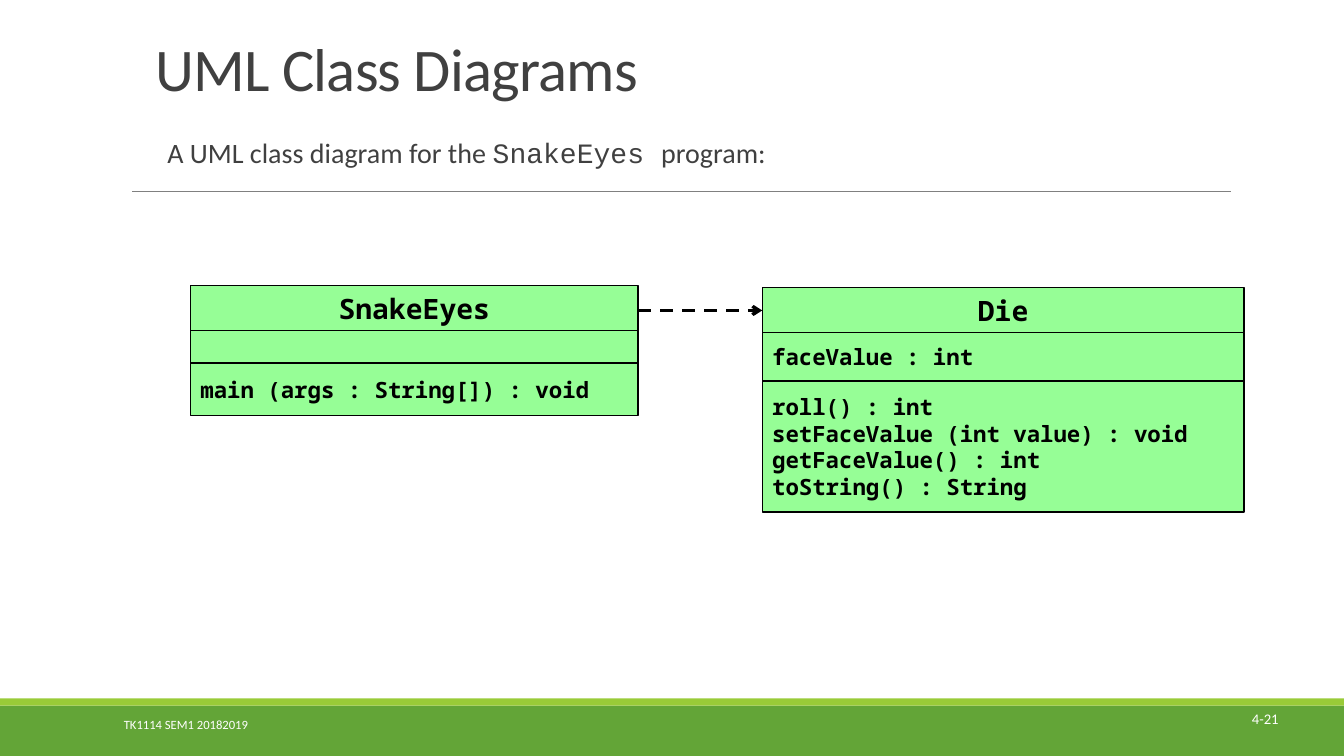
from pptx import Presentation
from pptx.dml.color import RGBColor
from pptx.enum.dml import MSO_LINE
from pptx.enum.shapes import MSO_CONNECTOR, MSO_SHAPE
from pptx.enum.text import MSO_ANCHOR, MSO_AUTO_SIZE, PP_ALIGN
from pptx.oxml.ns import qn
from pptx.util import Inches, Pt
from lxml.etree import SubElement

GREEN = RGBColor(0x63, 0xA5, 0x37)
LIME = RGBColor(0x99, 0xCB, 0x38)
MINT = RGBColor(0x96, 0xFE, 0x96)
GRAY = RGBColor(0x80, 0x80, 0x80)
DARK = RGBColor(0x40, 0x40, 0x40)
BLACK = RGBColor(0, 0, 0)
WHITE = RGBColor(0xFF, 0xFF, 0xFF)


class DiagramSlide:
    text_font = "Calibri"
    code_font = "Courier New"
    class_font = "Noto Sans Mono"

    def __init__(self, deck):
        self.page = deck.slides.add_slide(deck.slide_layouts[1])
        self.shapes = self.page.shapes

    def place(self, shape, left, top, width, height):
        shape.left, shape.top = Inches(left), Inches(top)
        shape.width, shape.height = Inches(width), Inches(height)

    def span(self, para, text, size, color, font=None, bold=False):
        span = para.add_run()
        span.text = text
        span.font.name = font or self.text_font
        span.font.size = Pt(size)
        span.font.bold = bold
        span.font.color.rgb = color
        return span

    def title(self, text):
        box = self.shapes.title
        self.place(box, 1.44, 0.33, 11.56, 0.75)
        frame = box.text_frame
        frame.auto_size = MSO_AUTO_SIZE.NONE
        frame.vertical_anchor = MSO_ANCHOR.BOTTOM
        para = frame.paragraphs[0]
        para.alignment = PP_ALIGN.LEFT
        para.line_spacing = 0.85
        span = self.span(para, text, 43.2, DARK)
        span.font._element.set("spc", "-50")

    def body(self, parts):
        """Fill the body with one paragraph of (text, font) parts."""
        box = self.page.placeholders[1]
        self.place(box, 1.56, 1.33, 11.33, 0.83)
        frame = box.text_frame
        frame.auto_size = MSO_AUTO_SIZE.NONE
        frame.margin_left = frame.margin_right = 0
        para = frame.paragraphs[0]
        para.line_spacing = 0.9
        para.space_before, para.space_after = Pt(12), Pt(2)
        properties = para._p.get_or_add_pPr()
        properties.set("marL", str(Inches(0.1)))
        properties.set("indent", "0")
        SubElement(properties, qn("a:buNone"))
        for text, font in parts:
            self.span(para, text, 20, DARK, font)

    def rectangle(self, left, top, width, height, fill, outline=None):
        box = self.shapes.add_shape(MSO_SHAPE.RECTANGLE, 0, 0, 0, 0)
        self.place(box, left, top, width, height)
        box.shadow.inherit = False
        box.fill.solid()
        box.fill.fore_color.rgb = fill
        if outline is None:
            box.line.fill.background()
        else:
            box.line.color.rgb = outline
            box.line.width = Pt(1)
        return box

    def class_box(self, left, top, width, compartments):
        """Stack (height, lines) compartments; the first holds the class name."""
        for index, (height, lines) in enumerate(compartments):
            box = self.rectangle(left, top, width, height, MINT, BLACK)
            frame = box.text_frame
            frame.vertical_anchor = MSO_ANCHOR.MIDDLE
            for number, text in enumerate(lines):
                para = frame.add_paragraph() if number else frame.paragraphs[0]
                para.alignment = PP_ALIGN.LEFT if index else PP_ALIGN.CENTER
                self.span(para, text, 16 if index else 20, BLACK,
                          self.class_font, bold=True)
            top += height

    def line(self, start, end, y, color, width, dashed_arrow=False):
        line = self.shapes.add_connector(
            MSO_CONNECTOR.STRAIGHT, Inches(start), Inches(y), Inches(end), Inches(y))
        line.line.color.rgb = color
        line.line.width = Pt(width)
        if dashed_arrow:
            line.line.dash_style = MSO_LINE.DASH
            SubElement(line.line._get_or_add_ln(), qn("a:tailEnd"), type="arrow")
        SubElement(line._element.spPr, qn("a:effectLst"))

    def label(self, left, top, width, text, size, alignment):
        box = self.shapes.add_textbox(0, 0, 0, 0)
        self.place(box, left, top, width, 0.42)
        frame = box.text_frame
        frame.word_wrap = True
        frame.vertical_anchor = MSO_ANCHOR.MIDDLE
        para = frame.paragraphs[0]
        para.alignment = alignment
        self.span(para, text, size, WHITE)


def main():
    deck = Presentation()
    deck.slide_width, deck.slide_height = Inches(13.33), Inches(7.5)
    slide = DiagramSlide(deck)

    slide.rectangle(0, 7, 13.33, 0.5, GREEN)
    slide.rectangle(0, 6.93, 13.33, 0.07, LIME)
    slide.line(1.31, 12.21, 1.9, GRAY, 0.5)

    slide.title("UML Class Diagrams")
    slide.body([
        ("A UML class diagram for the ", slide.text_font),
        ("SnakeEyes ", slide.code_font),
        ("program:", slide.text_font),
    ])

    slide.class_box(1.89, 2.83, 4.44, [
        (0.45, ["SnakeEyes"]),
        (0.32, []),
        (0.52, ["main (args : String[]) : void"]),
    ])
    slide.class_box(7.56, 2.85, 4.78, [
        (0.45, ["Die"]),
        (0.48, ["faceValue : int"]),
        (1.3, ["roll() : int", "setFaceValue (int value) : void",
               "getFaceValue() : int", "toString() : String"]),
    ])
    slide.line(6.33, 7.56, 3.08, BLACK, 2.25, dashed_arrow=True)

    slide.label(1.13, 6.98, 5.11, "TK1114 SEM1 20182019", 9, PP_ALIGN.LEFT)
    slide.label(10, 6.92, 2.78, "4-21", 10.5, PP_ALIGN.RIGHT)
    deck.save("out.pptx")


if __name__ == "__main__":
    main()
